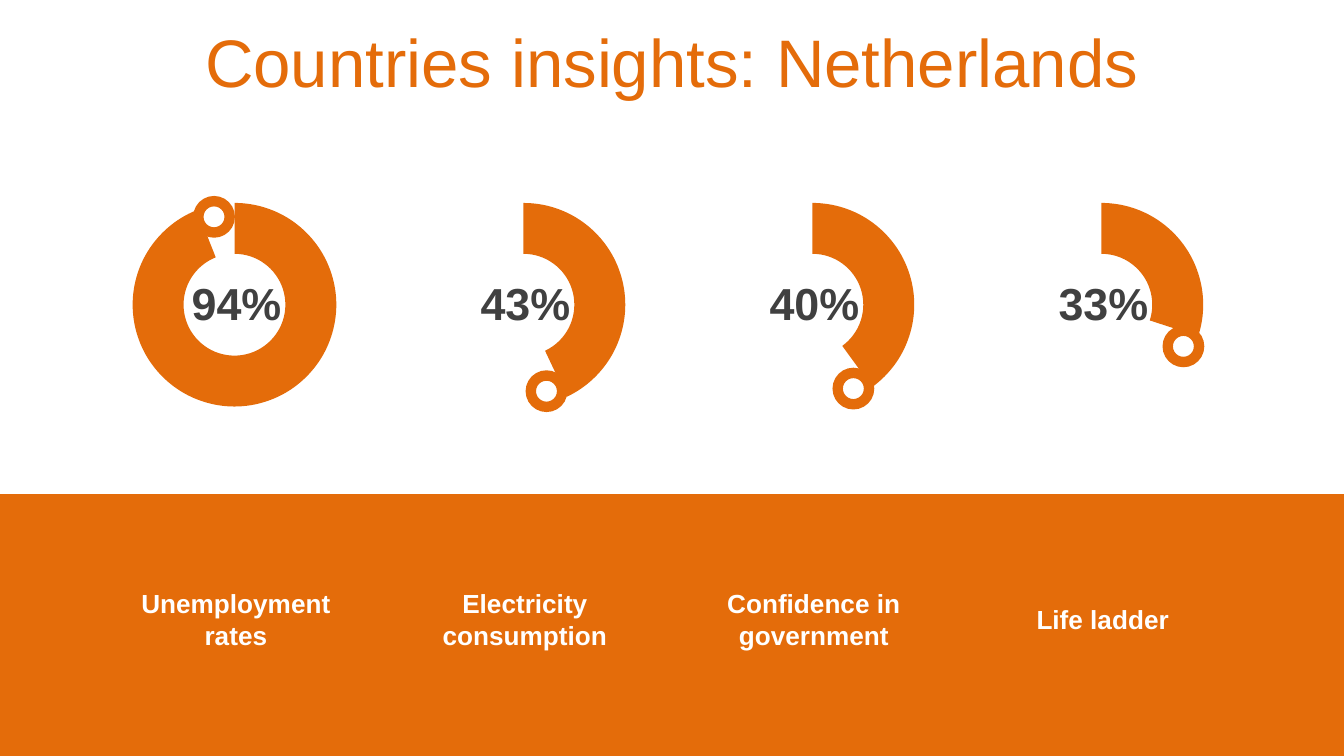
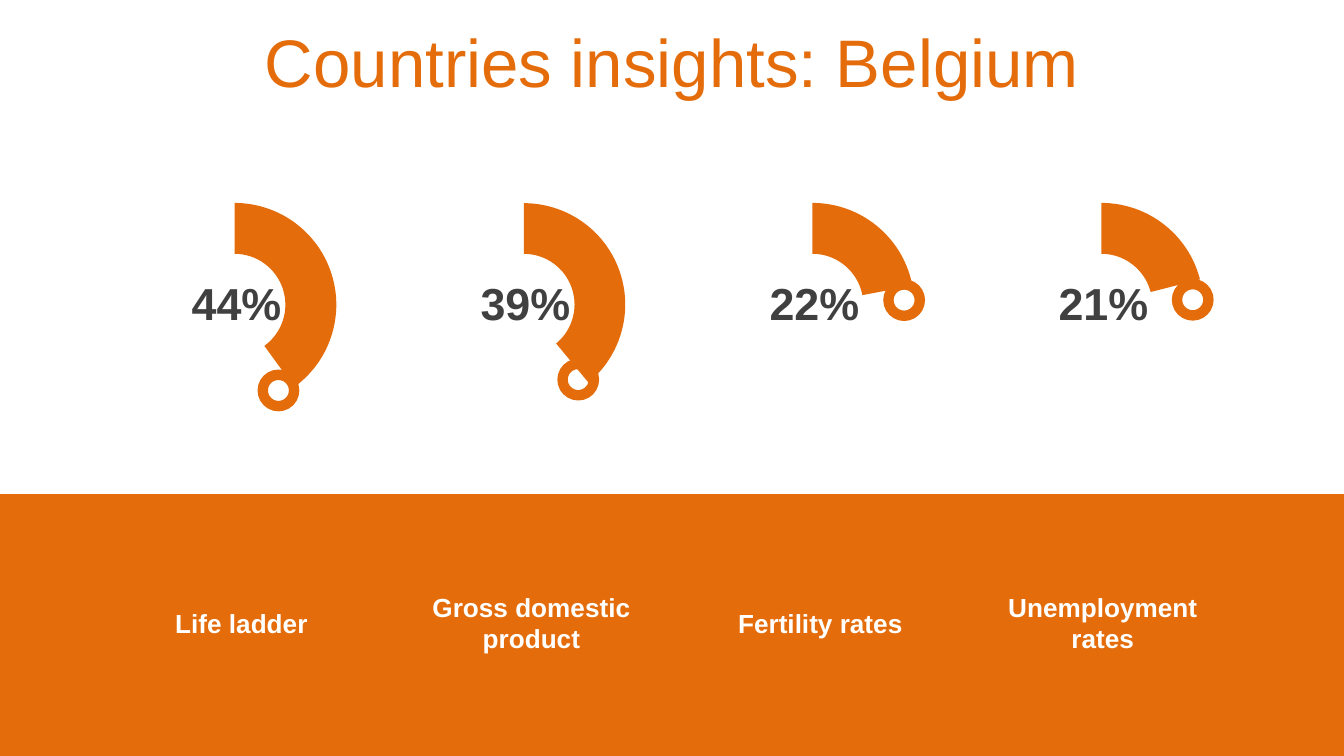
from lxml import etree
from pptx import Presentation
from pptx.chart.data import CategoryChartData
from pptx.dml.color import RGBColor
from pptx.enum.chart import XL_CHART_TYPE as Chart
from pptx.enum.shapes import MSO_SHAPE as Shape
from pptx.enum.text import MSO_ANCHOR as Anchor, MSO_AUTO_SIZE as AutoSize, PP_ALIGN as Align
from pptx.oxml.ns import qn
from pptx.util import Pt

ORANGE = RGBColor(0xE4, 0x6C, 0x0A)
GREY = RGBColor(0x40, 0x40, 0x40)
WHITE = RGBColor(0xFF, 0xFF, 0xFF)
FONT = "Arial"

# Each gauge: shown percentage, ring value, explosion, knob (left, top), label, label shift
SLIDES = [
    ("Countries insights: Netherlands", 331.6, [
        ("94%", 94, 0, (103.5, 105), "Unemployment rates", 0),
        ("43%", 43, 0, (281.6, 198.4), "Electricity consumption", 0),
        ("40%", 40, 0, (446, 197), "Confidence in government", 0),
        ("33%", 30, 0, (622.8, 174.4), "Life ladder", 0),
    ]),
    ("Countries insights: Belgium", 333.7, [
        ("44%", 40, 0, (138, 198), "Life ladder", 3),
        ("39%", 39, 1, (298.6, 192.2), "Gross domestic product", 3.5),
        ("22%", 22, 0, (473.2, 149.6), "Fertility rates", 3.5),
        ("21%", 21, 0, (627.8, 149.4), "Unemployment rates", 0),
    ]),
]

# Layout in points
SLIDE_W, SLIDE_H = 720, 405
BAND_TOP = 264.8
FIRST_CENTER, PITCH = 126.4, 154.8
CHART_TOP, CHART_W, CHART_H = 108.7, 121.7, 109.4
PERCENT_TOP, PERCENT_W, PERCENT_H = 144, 96.5, 36
LABEL_W, ONE_LINE_H, TWO_LINE_H = 136, 24.5, 41
ONE_LINE_CHARS = 16
KNOB = 22.4
PLOT = {"x": 0.043, "y": 0, "w": 0.902, "h": 0.998}
HOLE = 80


def add_filled(s, kind, x, y, w, h):
    sp = s.shapes.add_shape(kind, Pt(x), Pt(y), Pt(w), Pt(h))
    sp.shadow.inherit = False
    sp.fill.solid()
    sp.fill.fore_color.rgb = ORANGE
    sp.line.fill.background()


def add_text(s, text, x, y, w, h, size, color, bold=False, grow=True):
    tf = s.shapes.add_textbox(Pt(x), Pt(y), Pt(w), Pt(h)).text_frame
    tf.word_wrap = True
    tf.auto_size = AutoSize.SHAPE_TO_FIT_TEXT if grow else AutoSize.NONE
    tf.vertical_anchor = Anchor.MIDDLE
    p = tf.paragraphs[0]
    p.alignment = Align.CENTER
    r = p.add_run()
    r.text = text
    r.font.name, r.font.size, r.font.bold = FONT, Pt(size), bold
    r.font.color.rgb = color


def set_plot_layout(plot_area):
    for old in plot_area.findall(qn("c:layout")):
        plot_area.remove(old)
    layout = etree.Element(qn("c:layout"))
    plot_area.insert(0, layout)
    manual = etree.SubElement(layout, qn("c:manualLayout"))
    settings = [("layoutTarget", "inner"), ("xMode", "edge"), ("yMode", "edge"), *PLOT.items()]
    for tag, value in settings:
        etree.SubElement(manual, qn(f"c:{tag}")).set("val", str(value))


def add_ring(s, center, value, explosion):
    data = CategoryChartData()
    data.categories = ["1", "2"]
    data.add_series("Series 1", (value, 100 - value))
    chart = s.shapes.add_chart(Chart.DOUGHNUT, Pt(center - CHART_W / 2), Pt(CHART_TOP),
                               Pt(CHART_W), Pt(CHART_H), data).chart
    chart.has_legend = chart.has_title = False
    chart.font.name, chart.font.size = FONT, Pt(18)
    chart.font.color.rgb = RGBColor(0, 0, 0)
    series = chart.plots[0].series[0]
    done, rest = (series.points[i].format for i in range(2))
    done.fill.solid()
    done.fill.fore_color.rgb = ORANGE
    rest.fill.background()
    for part in (done, rest):
        part.line.fill.background()

    # Hole, plot area and explosion
    plot_area = chart.element.find(".//" + qn("c:plotArea"))
    plot_area.find(".//" + qn("c:holeSize")).set("val", str(HOLE))
    set_plot_layout(plot_area)
    if explosion:
        gap = etree.Element(qn("c:explosion"))
        gap.set("val", str(explosion))
        plot_area.find(".//" + qn("c:dPt")).addprevious(gap)


def build_slide(prs, title, label_middle, gauges):
    s = prs.slides.add_slide(prs.slide_layouts[6])
    add_filled(s, Shape.RECTANGLE, 0, BAND_TOP, SLIDE_W, SLIDE_H - BAND_TOP)
    centers = [FIRST_CENTER + i * PITCH for i in range(len(gauges))]

    # Rings lie below the title, percentages and knobs
    for center, (_, value, explosion, *_) in zip(centers, gauges):
        add_ring(s, center, value, explosion)
    add_text(s, title, 0, 10, SLIDE_W, 45.4, 36, ORANGE, grow=False)

    for center, (percent, _, _, knob, label, shift) in zip(centers, gauges):
        add_text(s, percent, center + 0.3 - PERCENT_W / 2, PERCENT_TOP,
                 PERCENT_W, PERCENT_H, 24, GREY, bold=True)
        add_filled(s, Shape.DONUT, *knob, KNOB, KNOB)
        h = ONE_LINE_H if len(label) <= ONE_LINE_CHARS else TWO_LINE_H
        add_text(s, label, center + shift - LABEL_W / 2, label_middle - h / 2,
                 LABEL_W, h, 14, WHITE, bold=True)


def main():
    prs = Presentation()
    prs.slide_width, prs.slide_height = Pt(SLIDE_W), Pt(SLIDE_H)
    for title, label_middle, gauges in SLIDES:
        build_slide(prs, title, label_middle, gauges)
    prs.save("out.pptx")


if __name__ == "__main__":
    main()
